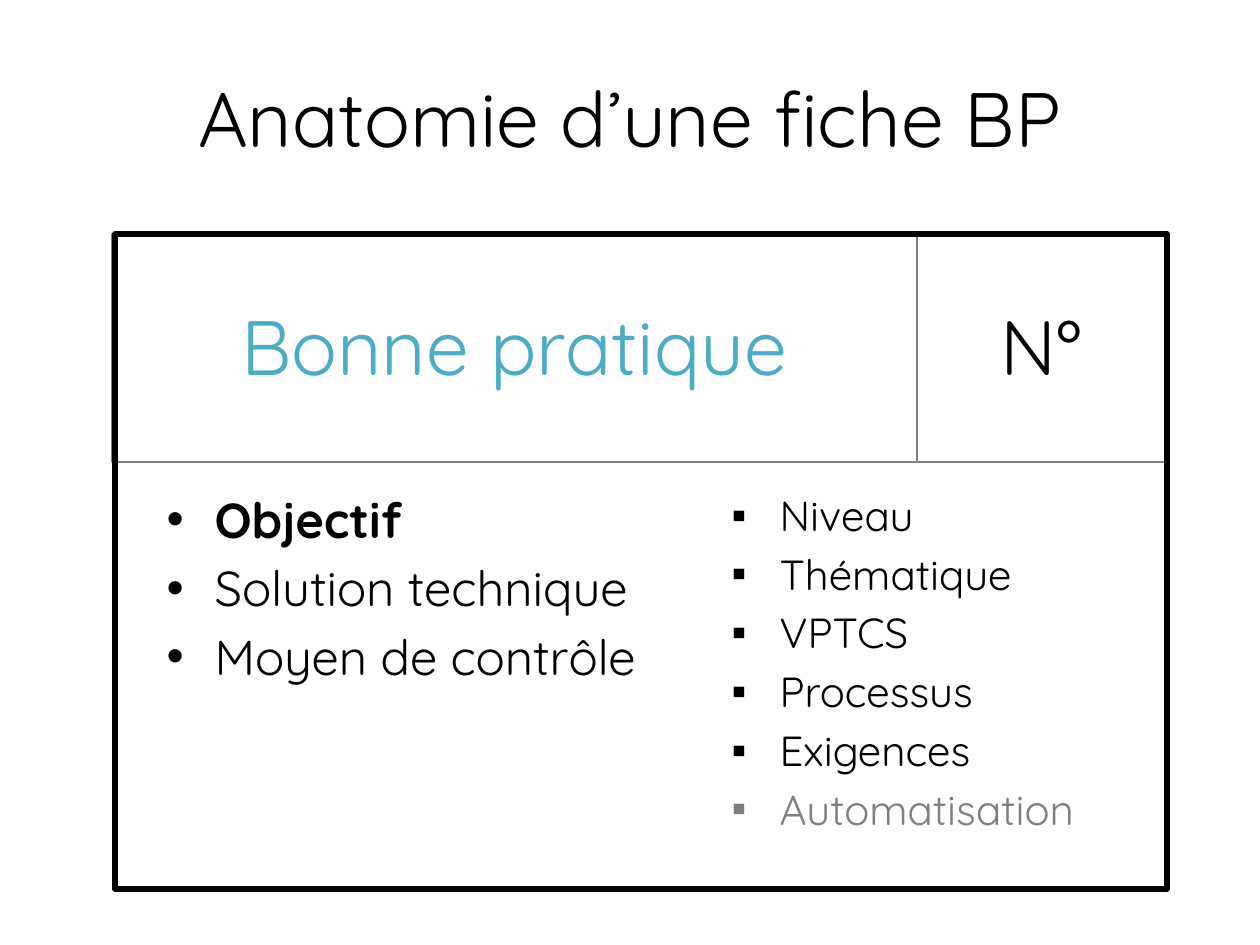
from dataclasses import dataclass

from lxml import etree
from pptx import Presentation
from pptx.dml.color import RGBColor
from pptx.enum import shapes, text
from pptx.oxml import ns
from pptx import util as u


@dataclass(frozen=True)
class Theme:
    """Colours, font and type sizes of the slide."""
    face: str = "Quicksand"
    ink: str = "000000"
    blue: str = "4BACC6"
    grey: str = "7F7F7F"
    head: int = 44
    main: int = 28
    side: int = 24


class Card:
    """Draws the elements of a practice card on one slide."""

    def __init__(self, deck, theme):
        """Add a two-list slide to the deck."""
        self.theme = theme
        self.slide = deck.slides.add_slide(deck.slide_layouts[3])

    def px(self, num):
        """Turn px into EMU."""
        return u.Emu(round(num * 914400 / 126))

    def put(self, thing, **vals):
        """Set attributes from a dict of values."""
        for name, val in vals.items():
            setattr(thing, name, val)

    def place(self, item, box):
        """Move and size an item."""
        sides = ("left", "top", "width", "height")
        self.put(item, **{side: self.px(num) for side, num in zip(sides, box)})

    def label(self, para, words, size, tint, bold=False):
        """Add styled words to a paragraph."""
        run = para.add_run()
        run.text = words
        self.put(run.font, name=self.theme.face, size=u.Pt(size), bold=bold)
        run.font.color.rgb = RGBColor.from_string(tint)

    def frame(self, item, pads, anchor):
        """Set the margins and anchor of an item's text."""
        sides = ("left", "top", "right", "bottom")
        body = item.text_frame
        self.put(body, word_wrap=True, auto_size=text.MSO_AUTO_SIZE.NONE,
                 vertical_anchor=anchor)
        self.put(body, **{f"margin_{side}": u.Inches(num)
                          for side, num in zip(sides, pads)})
        return body.paragraphs[0]

    def title(self, box, words):
        """Fill the title placeholder."""
        item = self.slide.shapes.title
        self.place(item, box)
        para = self.frame(item, (0.1, 0.05, 0.1, 0.05), text.MSO_ANCHOR.MIDDLE)
        para.alignment = text.PP_ALIGN.CENTER
        self.label(para, words, self.theme.head, self.theme.ink)

    def rect(self, box, tint, width):
        """Draw an unfilled rectangle."""
        item = self.slide.shapes.add_shape(
            shapes.MSO_SHAPE.RECTANGLE, *map(self.px, box))
        item.shadow.inherit = False
        item.fill.background()
        item.line.color.rgb = RGBColor.from_string(tint)
        item.line.width = u.Pt(width)
        return item

    def cell(self, box, words, tint):
        """Draw a thin box with centred words."""
        item = self.rect(box, self.theme.grey, 0.75)
        para = self.frame(item, (0.16, 0.15, 0.16, 0.2), text.MSO_ANCHOR.MIDDLE)
        para.alignment = text.PP_ALIGN.CENTER
        self.label(para, words, self.theme.head, tint)

    def bullet(self, para, mark, tint):
        """Give a paragraph a hanging bullet."""
        prop = para._p.get_or_add_pPr()
        prop.set("marL", str(self.px(48)))
        prop.set("indent", str(-self.px(48)))
        hue = etree.SubElement(prop, ns.qn("a:buClr"))
        etree.SubElement(hue, ns.qn("a:srgbClr"), val=tint)
        etree.SubElement(prop, ns.qn("a:buFont"), typeface="Arial")
        etree.SubElement(prop, ns.qn("a:buChar"), char=mark)

    def items(self, slot, box, mark, size, rows):
        """Fill a body placeholder with rows of (words, colour, bold)."""
        item = self.slide.placeholders[slot]
        self.place(item, box)
        para = self.frame(item, (0.1, 0.05, 0.1, 0.05), text.MSO_ANCHOR.TOP)
        for num, (words, tint, bold) in enumerate(rows):
            if num:
                para = item.text_frame.add_paragraph()
            self.bullet(para, mark, tint)
            para.space_before = u.Pt(size * 0.2 if num else 0)
            self.label(para, words, size, tint, bold)


def main():
    """Build and save the slide."""
    deck = Presentation()
    deck.slide_width, deck.slide_height = u.Inches(10), u.Inches(7.5)
    theme = Theme()
    card = Card(deck, theme)
    ink, grey = theme.ink, theme.grey

    card.title((63, 38, 1134, 158), "Anatomie d’une fiche BP")
    card.cell((112, 234, 805, 228), "Bonne pratique", theme.blue)
    card.items(1, (154, 483, 674, 407), "•", theme.main, [
        ("Objectif", ink, True),
        ("Solution technique", ink, False),
        ("Moyen de contrôle", ink, False)])
    plain = ("Niveau", "Thématique", "VPTCS", "Processus", "Exigences")
    card.items(2, (719, 483, 402, 407), "▪", theme.side,
               [(word, ink, False) for word in plain]
               + [("Automatisation", grey, False)])
    card.cell((917, 234, 248, 228), "N°", ink)
    card.rect((115, 234, 1052, 655), ink, 3)
    deck.save("out.pptx")


if __name__ == "__main__":
    main()
